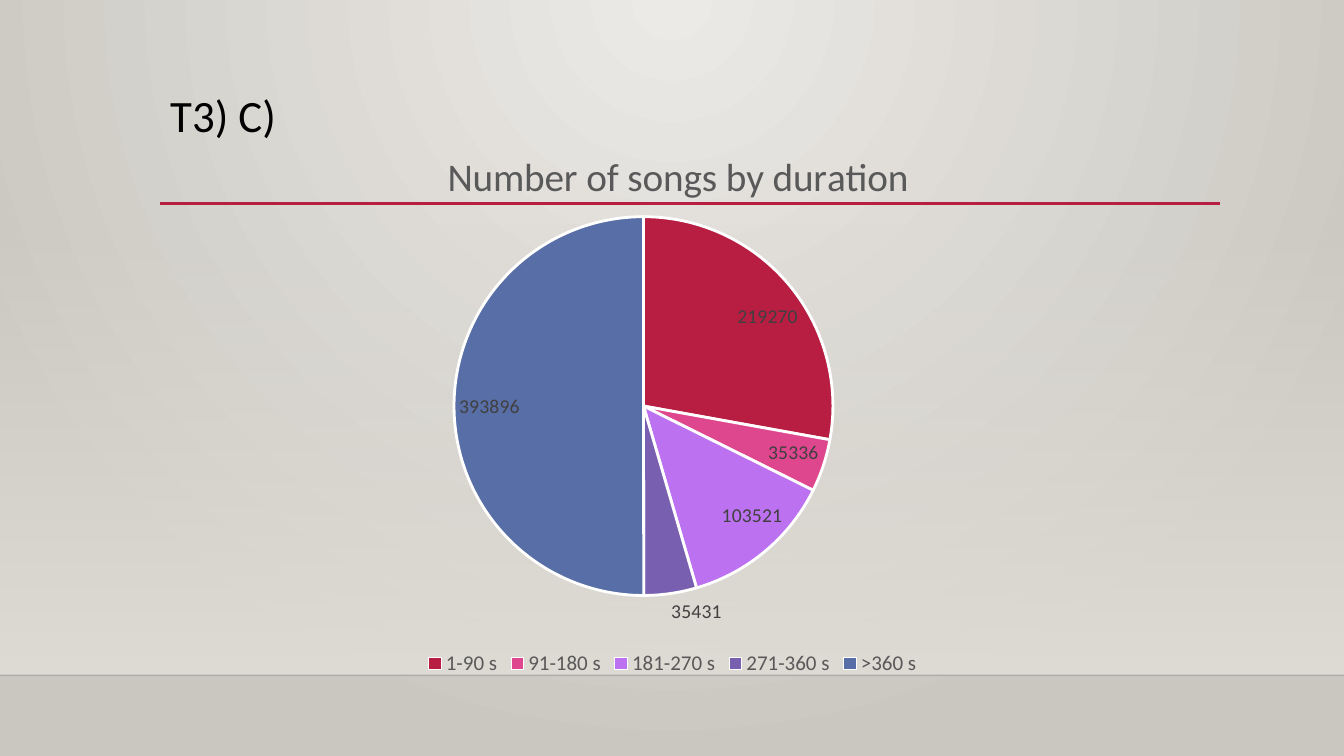
from dataclasses import dataclass
from lxml.etree import SubElement
from pptx import Presentation
from pptx.chart.data import CategoryChartData
from pptx.dml.color import RGBColor
from pptx.enum.chart import XL_CHART_TYPE, XL_LABEL_POSITION, XL_LEGEND_POSITION
from pptx.enum.shapes import MSO_CONNECTOR, MSO_SHAPE
from pptx.enum.text import MSO_ANCHOR
from pptx.oxml import parse_xml
from pptx.oxml.ns import nsdecls, qn
from pptx.util import Inches, Pt


@dataclass(frozen=True)
class Theme:
    font: str = "Calibri"
    ink: str = "000000"
    edge: str = "000001"
    accent: str = "B71E42"
    white: str = "FFFFFF"
    grey: str = "595959"
    label: str = "404040"
    glow: str = "ECEAE7"
    shade: str = "CAC7C1"
    floor: str = "DFDBD5"
    heading_size: int = 32
    chart_title_size: int = 28
    legend_size: int = 15
    label_size: int = 14


T = Theme()
SONGS = {
    "1-90 s": (219270, T.accent),
    "91-180 s": (35336, "DE478E"),
    "181-270 s": (103521, "BC72F0"),
    "271-360 s": (35431, "795FAF"),
    ">360 s": (393896, "586EA6"),
}


def style_font(font, size, color):
    for name, value in {"name": T.font, "size": Pt(size), "bold": False}.items():
        setattr(font, name, value)
    font.color.rgb = RGBColor.from_string(color)


def set_gradient(element, stops, direction):
    grad = element.find(".//" + qn("a:gradFill"))
    items = "".join(
        f'<a:gs pos="{pos * 1000}"><a:srgbClr val="{color}">'
        f'<a:alpha val="{alpha * 1000}"/></a:srgbClr></a:gs>'
        for pos, color, alpha in stops
    )
    new = parse_xml(
        f'<a:gradFill {nsdecls("a")} rotWithShape="1">'
        f"<a:gsLst>{items}</a:gsLst>{direction}</a:gradFill>"
    )
    grad.getparent().replace(grad, new)


def add_background(s):
    s.background.fill.gradient()
    set_gradient(
        s._element,
        [(0, T.glow, 100), (100, T.shade, 100)],
        '<a:path path="circle"><a:fillToRect l="43000" t="0" r="43000" b="100000"/></a:path>',
    )


def add_floor(s):
    sp = s.shapes.add_shape(
        MSO_SHAPE.RECTANGLE, Inches(0), Inches(2.21), Inches(13.33), Inches(4.49)
    )
    sp.shadow.inherit = False
    sp.line.fill.background()
    sp.fill.gradient()
    set_gradient(
        sp._element,
        [(0, T.floor, 0), (100, T.floor, 100)],
        '<a:lin ang="5400000" scaled="0"/>',
    )


def add_rule(s, left, right, y, color, width, alpha=100):
    line = s.shapes.add_connector(
        MSO_CONNECTOR.STRAIGHT, Inches(left), Inches(y), Inches(right), Inches(y)
    )
    line.line.color.rgb = RGBColor.from_string(color)
    line.line.width = Pt(width)
    if alpha < 100:
        clr = line._element.find(".//" + qn("a:srgbClr"))
        SubElement(clr, qn("a:alpha"), val=str(alpha * 1000))
    SubElement(line._element.spPr, qn("a:effectLst"))


def add_heading(s, text):
    sp = s.shapes.add_textbox(Inches(1.59), Inches(0.88), Inches(10.5), Inches(1.15))
    tf = sp.text_frame
    for name, value in {"word_wrap": True, "vertical_anchor": MSO_ANCHOR.TOP}.items():
        setattr(tf, name, value)
    p = tf.paragraphs[0]
    p.line_spacing = 0.9
    r = p.add_run()
    r.text = text
    style_font(r.font, T.heading_size, T.ink)


def manual_layout(inner=False, **box):
    target = '<c:layoutTarget val="inner"/>' if inner else ""
    modes = "".join(f'<c:{k}Mode val="edge"/>' for k in "xy")
    values = "".join(f'<c:{k} val="{v}"/>' for k, v in box.items())
    return parse_xml(
        f'<c:layout {nsdecls("c")}><c:manualLayout>{target}{modes}{values}'
        "</c:manualLayout></c:layout>"
    )


def place(element, layout, index):
    for old in element.findall(qn("c:layout")):
        element.remove(old)
    element.insert(index, layout)


def add_pie(s, title):
    data = CategoryChartData()
    data.categories = list(SONGS)
    data.add_series("Series 1", [count for count, _ in SONGS.values()])
    chart = s.shapes.add_chart(
        XL_CHART_TYPE.PIE, Inches(0.92), Inches(1.14), Inches(11.5), Inches(5.61), data
    ).chart
    style_font(chart.font, T.label_size, T.ink)

    chart.has_title = True
    tf = chart.chart_title.text_frame
    tf.text = title
    style_font(tf.paragraphs[0].runs[0].font, T.chart_title_size, T.grey)
    place(chart.chart_title._element, manual_layout(x=0.3, y=0.05), 1)

    chart.has_legend = True
    legend = {"position": XL_LEGEND_POSITION.BOTTOM, "include_in_layout": False}
    for name, value in legend.items():
        setattr(chart.legend, name, value)
    style_font(chart.legend.font, T.legend_size, T.grey)

    plot = chart.plots[0]
    plot.vary_by_categories = True
    for i, (_, color) in enumerate(SONGS.values()):
        fmt = plot.series[0].points[i].format
        fmt.fill.solid()
        fmt.fill.fore_color.rgb = RGBColor.from_string(color)
        fmt.line.color.rgb = RGBColor.from_string(T.white)
        fmt.line.width = Pt(2)

    labels = plot.series[0].data_labels
    for name, value in {"show_value": True, "position": XL_LABEL_POSITION.BEST_FIT}.items():
        setattr(labels, name, value)
    style_font(labels.font, T.label_size, T.label)

    area = chart._chartSpace.find(".//" + qn("c:plotArea"))
    place(area, manual_layout(True, x=0.31, y=0.18, w=0.33, h=0.67), 0)


def main():
    prs = Presentation()
    prs.slide_width, prs.slide_height = Inches(13.33), Inches(7.5)
    s = prs.slides.add_slide(prs.slide_layouts[6])
    add_background(s)
    add_floor(s)
    add_rule(s, 0, 13.33, 6.7, T.edge, 1, alpha=20)
    add_rule(s, 1.59, 12.1, 2.02, T.accent, 2.5)
    add_heading(s, "T3) C)")
    add_pie(s, "Number of songs by duration")
    prs.save("out.pptx")


if __name__ == "__main__":
    main()
